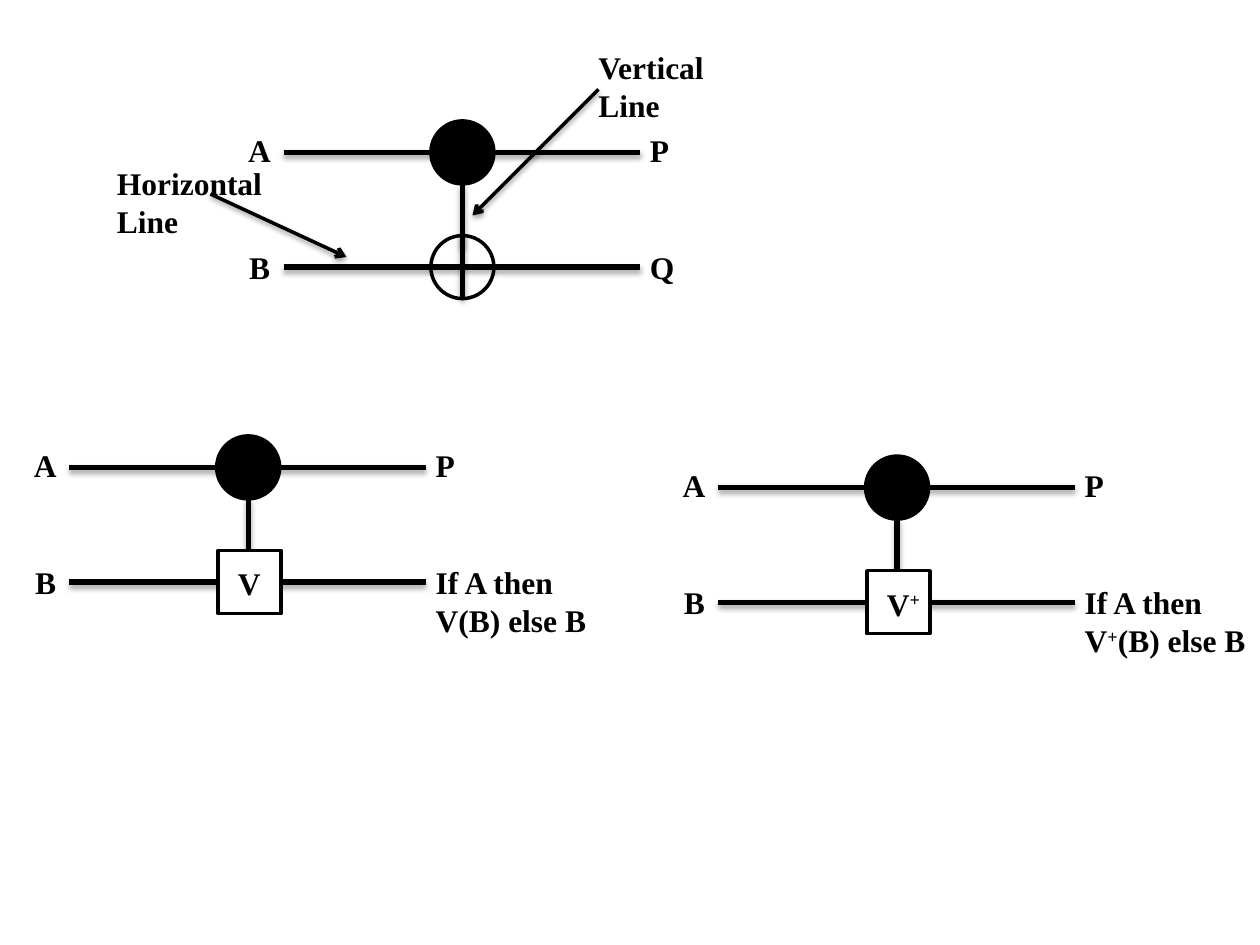
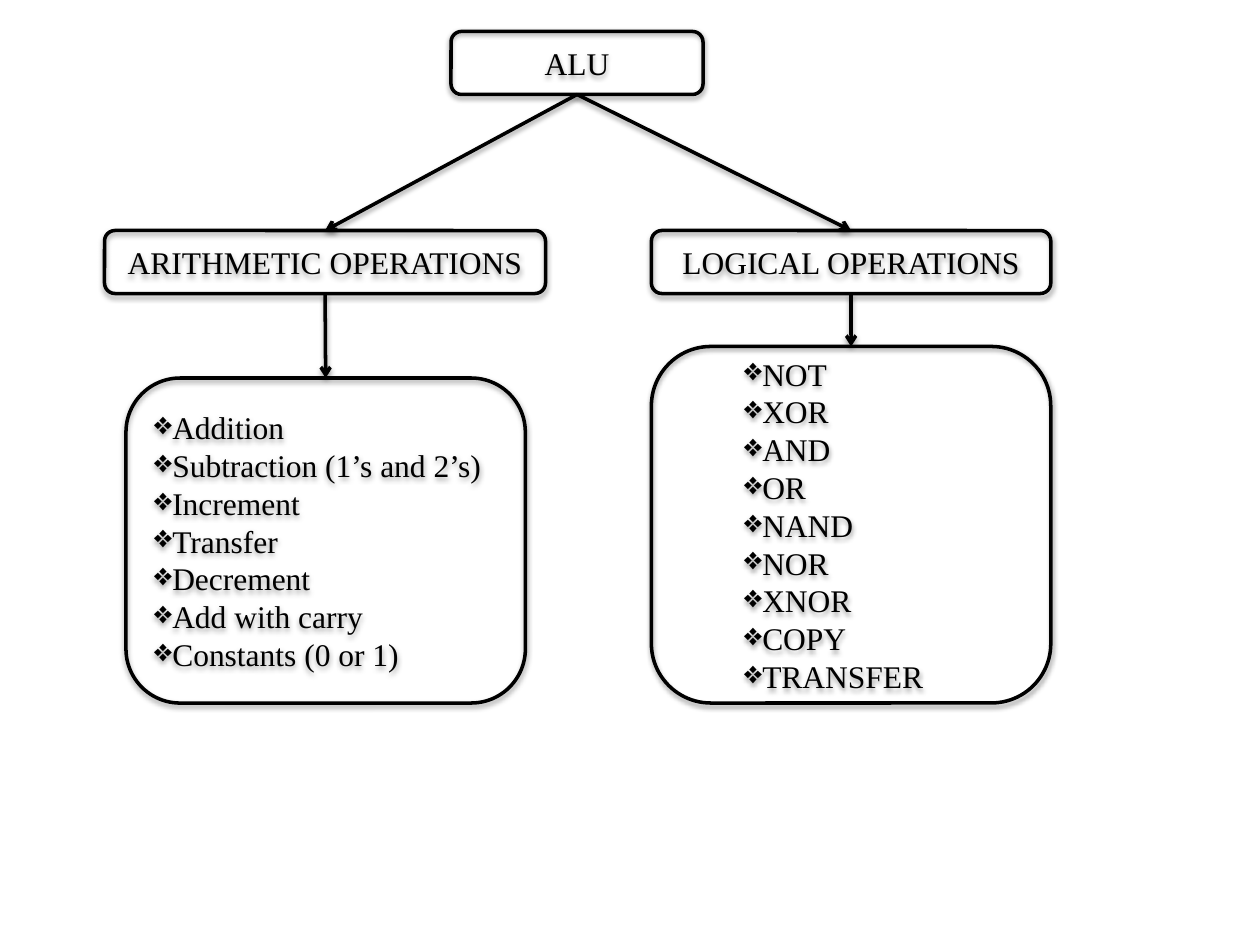
from lxml import etree
from pptx import Presentation
from pptx.dml.color import RGBColor
from pptx.enum.shapes import MSO_CONNECTOR, MSO_SHAPE
from pptx.enum.text import MSO_ANCHOR, MSO_AUTO_SIZE, PP_ALIGN
from pptx.oxml.ns import qn
from pptx.util import Pt

PX = 9144  # 100 px to the inch
FONT, SIZE = "Times New Roman", 18
BLACK, WHITE = "000000", "FFFFFF"

# Gates: start of the upper wire, target kind, target label, lower output.
# A text is a list of lines, a line is a list of runs; "+" is superscript.
GATES = [
    ((225, 121), "xor", None, ([["Q"]], 40, 40)),
    ((55, 371), "box", ([["V"]], 38), ([["If A then"], ["V(B) else B"]], 141, 71)),
    ((570, 387), "box", ([["V", "+"]], 48),
     ([["If A then"], ["V", "+", "(B) else B"]], 155, 71)),
]
WIRE, GAP, NODE = 283, 91, 50  # wire length, wire distance, node size

# Callouts: arrow start, arrow end, text lines, text box
CALLOUTS = [
    ((167, 154), (275, 204), [["Horizontal"], ["Line"]], (83, 125, 143, 71)),
    ((475, 71), (375, 171), [["Vertical"], ["Line"]], (465, 33, 111, 71)),
]

# ALU tree: root, then branches with title box, list box, list indent and items
ROOT = ("ALU", (358, 25, 200, 50))
BRANCHES = [
    ("ARITHMETIC OPERATIONS", (83, 183, 350, 50), (100, 300, 317, 258), 0,
     ["Addition", "Subtraction (1’s and 2’s)", "Increment", "Transfer",
      "Decrement", "Add with carry", "Constants (0 or 1)"]),
    ("LOGICAL OPERATIONS", (517, 183, 317, 50), (517, 275, 317, 283), 50,
     ["NOT", "XOR", "AND", "OR", "NAND", "NOR", "XNOR", "COPY", "TRANSFER"]),
]


def px(*values):
    return [round(v * PX) for v in values]


def rgb(color):
    return RGBColor.from_string(color)


def set_shadow(s, alpha=None, dist=1.6):
    """Give the shape a soft shadow below it, or none without alpha."""
    effects = etree.SubElement(s._element.spPr, qn("a:effectLst"))
    if alpha:
        shadow = etree.SubElement(effects, qn("a:outerShdw"), blurRad=str(Pt(3.1)),
                                  dist=str(Pt(dist)), dir="5400000", rotWithShape="0")
        color = etree.SubElement(shadow, qn("a:srgbClr"), val=BLACK)
        etree.SubElement(color, qn("a:alpha"), val=str(alpha * 1000))


def set_line(s, width):
    s.line.color.rgb = rgb(BLACK)
    s.line.width = Pt(width)


def add_line(slide, start, end, arrow=False):
    s = slide.shapes.add_connector(MSO_CONNECTOR.STRAIGHT, *px(*start, *end))
    set_line(s, 2 if arrow else 3)
    if arrow:
        etree.SubElement(s.line._get_or_add_ln(), qn("a:tailEnd"), type="arrow")
        set_shadow(s, 38)
    else:
        set_shadow(s, 35, 1.8)


def add_node(slide, kind, box, fill=None):
    s = slide.shapes.add_shape(kind, *px(*box))
    set_line(s, 2)
    if fill:
        s.fill.solid()
        s.fill.fore_color.rgb = rgb(fill)
        set_shadow(s)
    else:
        s.fill.background()
        set_shadow(s, 38)
    return s


def write(tf, lines, bold=False, align=PP_ALIGN.LEFT, bullet_indent=None):
    for i, runs in enumerate(lines):
        p = tf.paragraphs[0] if i == 0 else tf.add_paragraph()
        p.alignment = align
        if bullet_indent is not None:
            pPr = p._p.get_or_add_pPr()
            pPr.set("marL", str(bullet_indent * PX))
            pPr.set("indent", "0")
            etree.SubElement(pPr, qn("a:buChar"), char="❖")
        for text in runs:
            r = p.add_run()
            r.text = text
            r.font.name, r.font.size, r.font.bold = FONT, Pt(SIZE), bold
            r.font.color.rgb = rgb(BLACK)
            if text == "+":
                r.font._element.set("baseline", "30000")


def add_label(slide, lines, box):
    tf = slide.shapes.add_textbox(*px(*box)).text_frame
    tf.word_wrap = False
    tf.auto_size = MSO_AUTO_SIZE.SHAPE_TO_FIT_TEXT
    write(tf, lines, bold=True)


def add_gate(slide, origin, kind, target_label, output):
    x, y = origin
    low, mid, half = y + GAP, x + WIRE // 2 + 1, NODE // 2
    for wire_y in (y, low):
        add_line(slide, (x, wire_y), (x + WIRE, wire_y))

    # Control dot, target and the stem between them
    target = (mid - half, low - half, NODE, NODE)
    if kind == "xor":
        add_node(slide, MSO_SHAPE.OVAL, target, WHITE)
        add_line(slide, (mid - half, low), (mid + half, low))
        add_line(slide, (mid, low - half), (mid, low + half))
    add_node(slide, MSO_SHAPE.OVAL, (mid - half, y - half, NODE, NODE), BLACK)
    add_line(slide, (mid, y + 3 * half), (mid, y + half))
    if kind == "box":
        add_node(slide, MSO_SHAPE.RECTANGLE, (mid - half + 1, *target[1:]), WHITE)
        lines, width = target_label
        add_label(slide, lines, (mid - 18, low - 19, width, 40))

    # Inputs and outputs
    lines, width, height = output
    add_label(slide, [["A"]], (x - 38, y - 22, 38, 40))
    add_label(slide, [["B"]], (x - 37, low - 20, 37, 40))
    add_label(slide, [["P"]], (x + WIRE - 2, y - 22, 36, 40))
    add_label(slide, lines, (x + WIRE - 2, low - 20, width, height))


def add_tree_box(slide, lines, box, **style):
    tf = add_node(slide, MSO_SHAPE.ROUNDED_RECTANGLE, box).text_frame
    tf.word_wrap = True
    tf.vertical_anchor = MSO_ANCHOR.MIDDLE
    write(tf, lines, **style)


def top(box):
    return box[0] + box[2] / 2, box[1]


def bottom(box):
    return box[0] + box[2] / 2, box[1] + box[3]


def main():
    prs = Presentation()
    prs.slide_width, prs.slide_height = px(1000, 750)
    gates, alu = [prs.slides.add_slide(prs.slide_layouts[6]) for _ in range(2)]

    # Slide 1: gates
    for gate in GATES:
        add_gate(gates, *gate)
    for start, end, lines, box in CALLOUTS:
        add_line(gates, start, end, arrow=True)
        add_label(gates, lines, box)

    # Slide 2: ALU tree
    root_text, root_box = ROOT
    add_tree_box(alu, [[root_text]], root_box, align=PP_ALIGN.CENTER)
    for title, title_box, list_box, indent, items in BRANCHES:
        add_tree_box(alu, [[title]], title_box, align=PP_ALIGN.CENTER)
        add_tree_box(alu, [[item] for item in items], list_box, bullet_indent=indent)
        add_line(alu, bottom(root_box), top(title_box), arrow=True)
        add_line(alu, bottom(title_box), top(list_box), arrow=True)

    prs.save("out.pptx")


if __name__ == "__main__":
    main()
